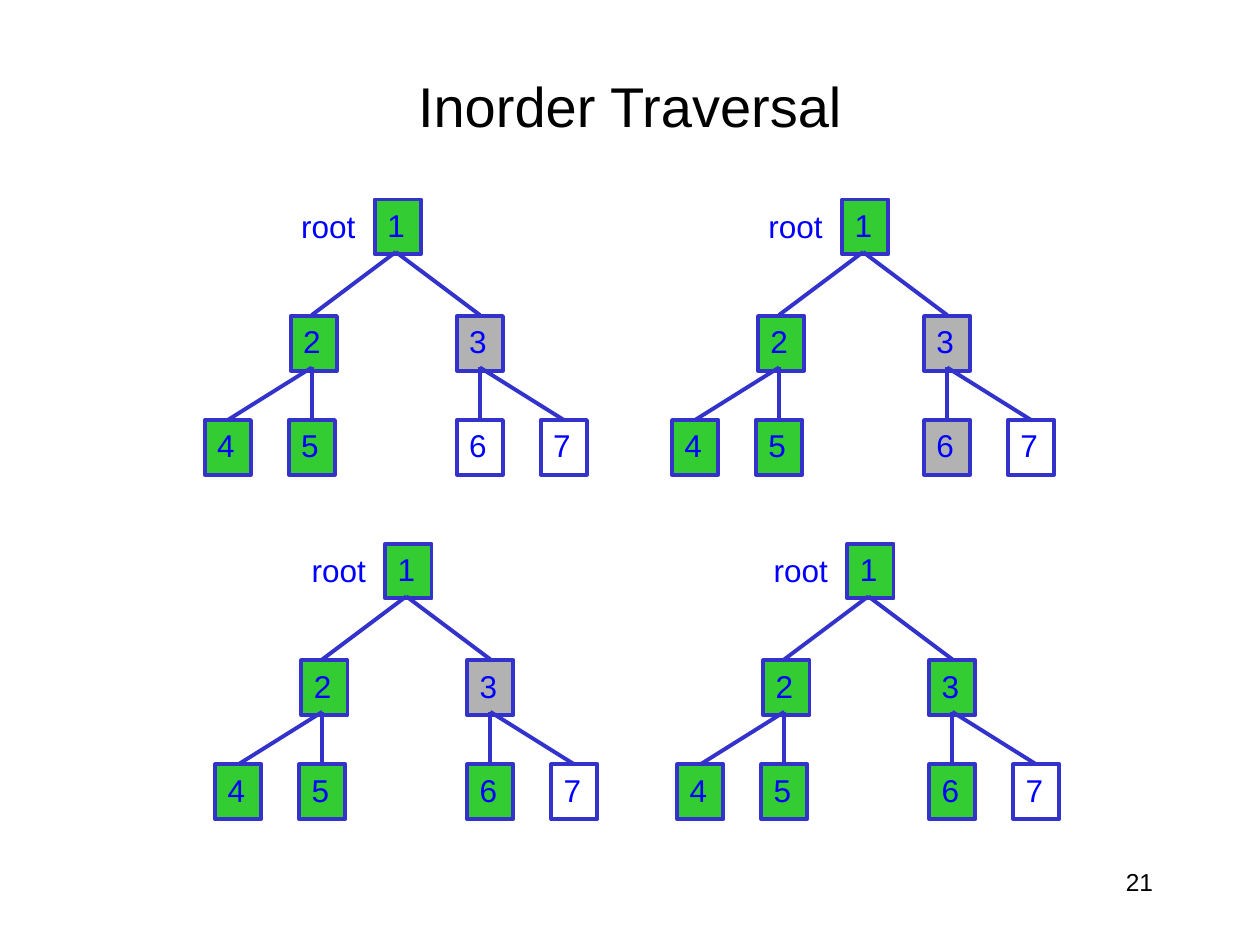
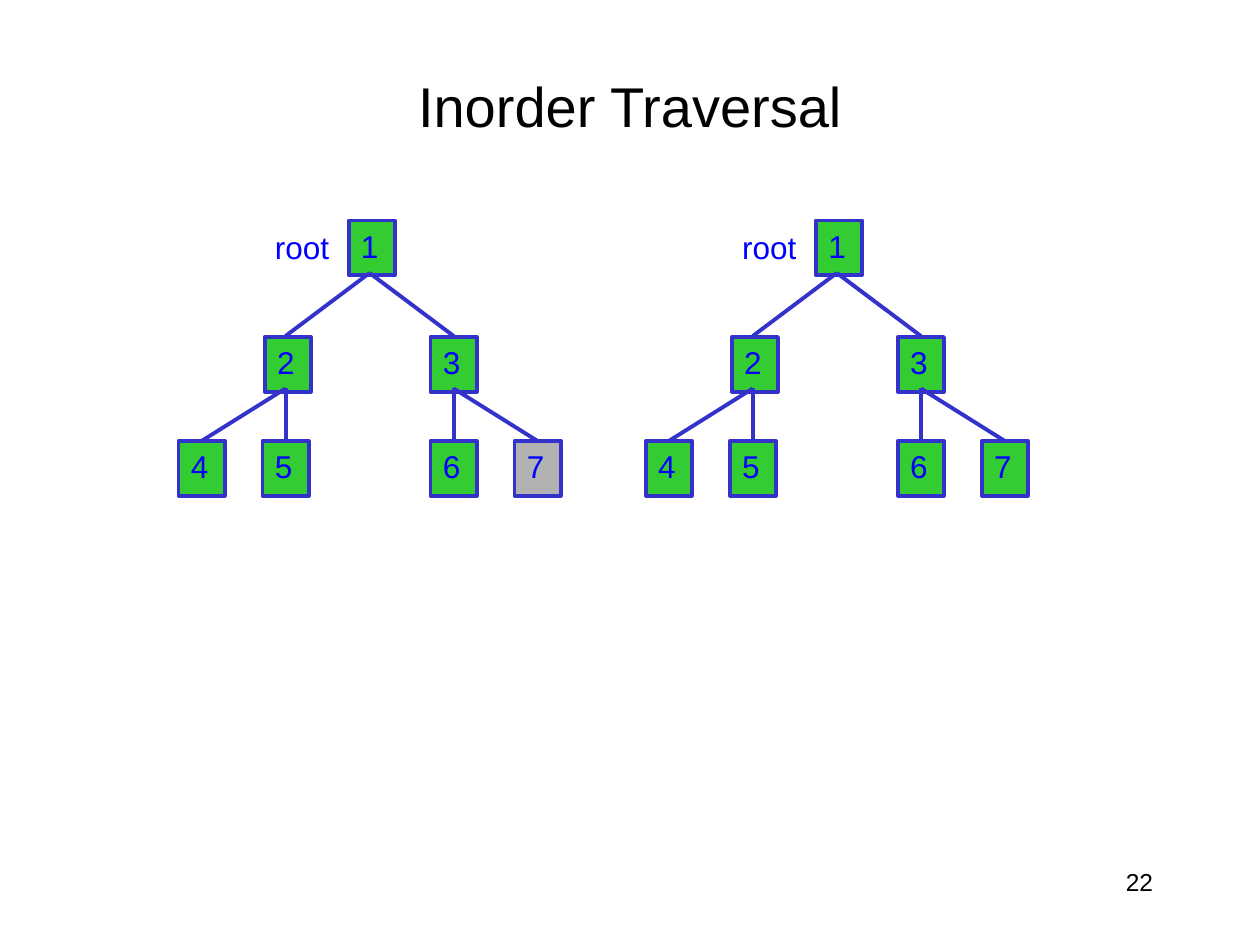
from dataclasses import dataclass

from pptx import Presentation
from pptx.dml.color import RGBColor
from pptx.enum.shapes import MSO_CONNECTOR as Connector, MSO_SHAPE as Preset
from pptx.enum.text import MSO_ANCHOR as Anchor, MSO_AUTO_SIZE as AutoSize, PP_ALIGN as Align
from pptx.oxml.ns import qn
from pptx.util import Inches, Pt
from lxml.etree import SubElement


@dataclass(frozen=True)
class Theme:
    font: str = "Arial"
    title_size: float = 32
    node_size: float = 18
    number_size: float = 14
    line_width: float = 2.25
    text: str = "000000"
    label: str = "0000FF"
    outline: str = "3333CC"
    visited: str = "33CC33"
    active: str = "B2B2B2"


@dataclass(frozen=True)
class Box:
    left: float
    top: float
    width: float
    height: float

    def within(self, left, top, width, height):
        return Box(self.left + left, self.top + top, width, height)

    def lengths(self):
        return [cells(value) for value in (self.left, self.top, self.width, self.height)]


THEME = Theme()
CELLS_PER_INCH = 12
TITLE_BOX = Box(9, 5, 102, 10)
NUMBER_BOX = Box(86, 82, 25, 6)

TREE_WIDTH, TREE_HEIGHT = 36.5, 26.2
NODE_WIDTH, NODE_HEIGHT = 4.4, 5.2
NODE_PLACES = {
    1: (16.2, 0), 2: (8.2, 11.1), 3: (24, 11.1),
    4: (0, 21), 5: (8, 21), 6: (24, 21), 7: (32, 21),
}
EDGES = [(1, 2), (1, 3), (2, 4), (2, 5), (3, 6), (3, 7)]

SLIDES = [
    (21, [
        (19.5, 19, {1, 2, 4, 5}, {3}),
        (64, 19, {1, 2, 4, 5}, {3, 6}),
        (20.5, 51.8, {1, 2, 4, 5, 6}, {3}),
        (64.5, 51.8, {1, 2, 3, 4, 5, 6}, set()),
    ]),
    (22, [
        (17, 21, {1, 2, 3, 4, 5, 6}, {7}),
        (61.5, 21, {1, 2, 3, 4, 5, 6, 7}, set()),
    ]),
]


def cells(count):
    return Inches(count / CELLS_PER_INCH)


def color(value):
    return RGBColor.from_string(value)


def write(shape, text, size, ink, align=Align.LEFT):
    frame = shape.text_frame
    frame.text = text
    paragraph = frame.paragraphs[0]
    paragraph.alignment = align
    paragraph.font.name = THEME.font
    paragraph.font.size = Pt(size)
    paragraph.font.color.rgb = color(ink)
    return frame


def write_label(shape, text):
    frame = write(shape, text, THEME.node_size, THEME.label)
    frame.vertical_anchor = Anchor.TOP
    frame.word_wrap = False
    frame.auto_size = AutoSize.SHAPE_TO_FIT_TEXT


def style_line(line):
    line.color.rgb = color(THEME.outline)
    line.width = Pt(THEME.line_width)


def add_title(slide, box, text):
    title = slide.shapes.title
    title.left, title.top, title.width, title.height = box.lengths()
    frame = write(title, text, THEME.title_size, THEME.text, Align.CENTER)
    frame.vertical_anchor = Anchor.MIDDLE


def add_number(slide, box, number):
    shape = slide.shapes.add_textbox(*box.lengths())
    frame = write(shape, str(number), THEME.number_size, THEME.text, Align.RIGHT)
    frame.word_wrap = True


def add_node(slide, box, number, fill):
    shape = slide.shapes.add_shape(Preset.RECTANGLE, *box.lengths())
    shape.shadow.inherit = False
    if fill:
        shape.fill.solid()
        shape.fill.fore_color.rgb = color(fill)
    else:
        shape.fill.background()
    style_line(shape.line)
    write_label(shape, str(number))


def add_edge(slide, box, parent, child):
    (start_column, start_row), (end_column, end_row) = (
        map(int, NODE_PLACES[node]) for node in (parent, child)
    )
    middle = box.left + NODE_WIDTH / 2
    edge = slide.shapes.add_connector(
        Connector.STRAIGHT,
        cells(middle + start_column), cells(box.top + start_row + 5),
        cells(middle + end_column), cells(box.top + end_row),
    )
    style_line(edge.line)
    SubElement(edge.element.spPr, qn("a:effectLst"))


def add_tree(slide, box, visited, active):
    for number, place in NODE_PLACES.items():
        fill = THEME.visited if number in visited else THEME.active if number in active else None
        add_node(slide, box.within(*place, NODE_WIDTH, NODE_HEIGHT), number, fill)
    for parent, child in EDGES:
        add_edge(slide, box, parent, child)
    label = slide.shapes.add_textbox(*box.within(8, 0.1, 7.6, 4.8).lengths())
    write_label(label, "root")


def add_traversal_slide(presentation, number, trees):
    slide = presentation.slides.add_slide(presentation.slide_layouts.get_by_name("Title Only"))
    add_number(slide, NUMBER_BOX, number)
    add_title(slide, TITLE_BOX, "Inorder Traversal")
    for left, top, visited, active in trees:
        add_tree(slide, Box(left, top, TREE_WIDTH, TREE_HEIGHT), visited, active)


presentation = Presentation()
presentation.slide_width = Inches(10)
presentation.slide_height = Inches(7.5)
for number, trees in SLIDES:
    add_traversal_slide(presentation, number, trees)
presentation.save("out.pptx")
